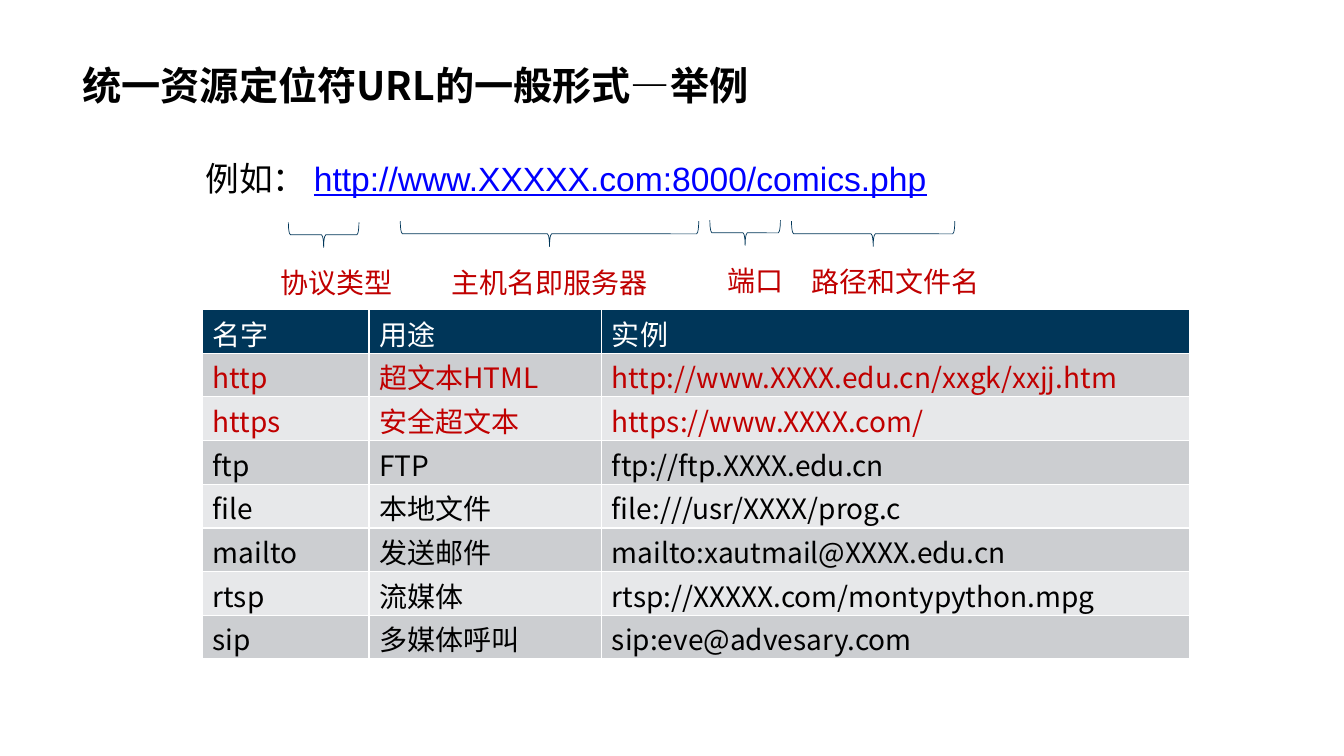
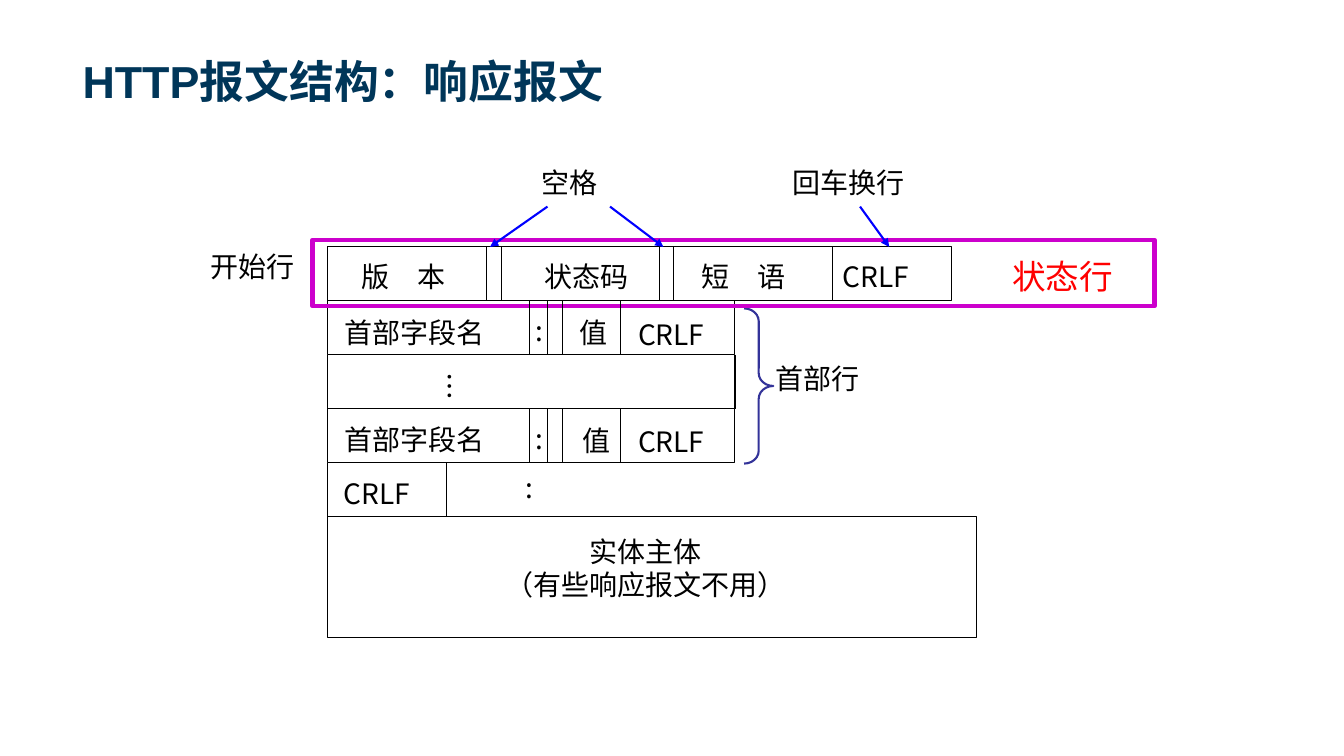
from lxml import etree
from pptx import Presentation
from pptx.dml.color import RGBColor
from pptx.enum.shapes import MSO_CONNECTOR, MSO_SHAPE
from pptx.enum.text import MSO_ANCHOR, PP_ALIGN
from pptx.oxml.ns import qn
from pptx.util import Inches, Pt

STRAIGHT = MSO_CONNECTOR.STRAIGHT
RECTANGLE = MSO_SHAPE.RECTANGLE
RIGHT_BRACE = MSO_SHAPE.RIGHT_BRACE
LEFT, CENTER = PP_ALIGN.LEFT, PP_ALIGN.CENTER
TOP, MIDDLE, BOTTOM = MSO_ANCHOR.TOP, MSO_ANCHOR.MIDDLE, MSO_ANCHOR.BOTTOM

NAVY = RGBColor(0x00, 0x36, 0x59)
BLACK = RGBColor(0x00, 0x00, 0x00)
WHITE = RGBColor(0xFF, 0xFF, 0xFF)
DARK_RED = RGBColor(0xC0, 0x00, 0x00)
RED = RGBColor(0xFF, 0x00, 0x00)
BLUE = RGBColor(0x00, 0x00, 0xFF)
INDIGO = RGBColor(0x33, 0x33, 0x99)
MAGENTA = RGBColor(0xCC, 0x00, 0xCC)
GRAY = RGBColor(0xCC, 0xCE, 0xD1)
LIGHT_GRAY = RGBColor(0xE7, 0xE8, 0xEA)

LATIN_FONT = "Arial"
CHINESE_FONT = "Noto Sans CJK SC"
TITLE_BOX = (0.72, 0.14, 11.88, 0.98)


def add_run(paragraph, text, size=20, color=BLACK, font=CHINESE_FONT, bold=False):
    run = paragraph.add_run()
    run.text = text
    run.font.size = Pt(size)
    run.font.bold = bold
    run.font.color.rgb = color
    run.font.name = font
    properties = run._r.get_or_add_rPr()
    etree.SubElement(properties, qn("a:ea")).set("typeface", CHINESE_FONT)
    return run


def add_text(slide, box, lines, align=LEFT, anchor=MIDDLE, **style):
    shape = slide.shapes.add_textbox(*map(Inches, box))
    frame = shape.text_frame
    frame.word_wrap = True
    frame.vertical_anchor = anchor
    for index, line in enumerate(lines):
        paragraph = frame.add_paragraph() if index else frame.paragraphs[0]
        paragraph.alignment = align
        add_run(paragraph, line, **style)
    return shape


presentation = Presentation()
presentation.slide_width = Inches(13.33)
presentation.slide_height = Inches(7.5)
blank_layout = presentation.slide_layouts[6]

slide = presentation.slides.add_slide(blank_layout)
add_text(slide, TITLE_BOX, ["统一资源定位符URL的一般形式—举例"],
         anchor=BOTTOM, size=28, bold=True)

example = add_text(slide, (1.94, 1.44, 11.3, 0.74), ["例如： "],
                   anchor=TOP, size=24, font=LATIN_FONT)
paragraph = example.text_frame.paragraphs[0]
paragraph.line_spacing = 1.2
address = add_run(paragraph, "http://www.XXXXX.com:8000/comics.php",
                  size=24, color=BLUE, font=LATIN_FONT)
address.font.underline = True

BRACE_DEPTH = 0.25
for center_x, center_y, length in [
    (3.21, 2.33, 0.7), (5.45, 2.32, 2.96), (7.39, 2.31, 0.7), (8.66, 2.32, 1.62),
]:
    brace = slide.shapes.add_shape(
        RIGHT_BRACE, Inches(center_x - BRACE_DEPTH / 2), Inches(center_y - length / 2),
        Inches(BRACE_DEPTH), Inches(length))
    brace.rotation = 90
    brace.shadow.inherit = False
    brace.fill.background()
    brace.line.color.rgb = NAVY
    brace.line.width = Pt(0.5)

for left, top, width, label in [
    (2.63, 2.58, 1.41, "协议类型"),
    (4.13, 2.58, 2.64, "主机名即服务器"),
    (6.79, 2.56, 1.41, "端口"),
    (7.65, 2.57, 2.46, "路径和文件名"),
]:
    add_text(slide, (left, top, width, 0.44), [label], CENTER, color=DARK_RED)

PROTOCOLS = [
    ("名字", "用途", "实例"),
    ("http", "超文本HTML", "http://www.XXXX.edu.cn/xxgk/xxjj.htm"),
    ("https", "安全超文本", "https://www.XXXX.com/"),
    ("ftp", "FTP", "ftp://ftp.XXXX.edu.cn"),
    ("file", "本地文件", "file:///usr/XXXX/prog.c"),
    ("mailto", "发送邮件", "mailto:xautmail@XXXX.edu.cn"),
    ("rtsp", "流媒体", "rtsp://XXXXX.com/montypython.mpg"),
    ("sip", "多媒体呼叫", "sip:eve@advesary.com"),
]
COLUMN_WIDTHS = (1.65, 2.31, 5.83)
TABLE_HEIGHT = 3.47
table = slide.shapes.add_table(
    len(PROTOCOLS), len(COLUMN_WIDTHS), Inches(2.01), Inches(3.07),
    Inches(sum(COLUMN_WIDTHS)), Inches(TABLE_HEIGHT)).table
for column, width in zip(table.columns, COLUMN_WIDTHS):
    column.width = Inches(width)
for row_index, values in enumerate(PROTOCOLS):
    table.rows[row_index].height = Inches(TABLE_HEIGHT / len(PROTOCOLS))
    if row_index == 0:
        fill_color, text_color = NAVY, WHITE
    else:
        fill_color = GRAY if row_index % 2 else LIGHT_GRAY
        text_color = DARK_RED if row_index < 3 else BLACK
    for column_index, value in enumerate(values):
        cell = table.cell(row_index, column_index)
        cell.fill.solid()
        cell.fill.fore_color.rgb = fill_color
        cell.margin_top = Inches(0.03)
        cell.margin_bottom = 0
        add_run(cell.text_frame.paragraphs[0], value, color=text_color)

slide = presentation.slides.add_slide(blank_layout)
add_text(slide, TITLE_BOX, ["HTTP报文结构：响应报文"],
         anchor=BOTTOM, size=32, color=NAVY, font=LATIN_FONT, bold=True)

MESSAGE_LEFT = 3.25
HEADER_RIGHT = 7.29
ROW_HEIGHT = 0.535
row_tops = [2.45 + ROW_HEIGHT * index for index in range(6)]

for kind, box, color, weight in [
    (RECTANGLE, (MESSAGE_LEFT, row_tops[0], 6.19, ROW_HEIGHT), BLACK, 0.75),
    (RECTANGLE, (MESSAGE_LEFT, row_tops[1], HEADER_RIGHT - MESSAGE_LEFT, ROW_HEIGHT), BLACK, 0.75),
    (RECTANGLE, (MESSAGE_LEFT, row_tops[3], HEADER_RIGHT - MESSAGE_LEFT, ROW_HEIGHT), BLACK, 0.75),
    (RECTANGLE, (MESSAGE_LEFT, row_tops[5], 6.44, 1.2), BLACK, 0.75),
    (RIGHT_BRACE, (7.38, 3.06, 0.29, 1.54), INDIGO, 1.5),
    (RECTANGLE, (3.1, 2.38, 8.35, 0.66), MAGENTA, 3),
]:
    outline = slide.shapes.add_shape(kind, *map(Inches, box))
    outline.shadow.inherit = False
    outline.fill.background()
    outline.line.color.rgb = color
    outline.line.width = Pt(weight)
    if kind == RIGHT_BRACE:
        outline.adjustments[0] = 0.44

FIELD_EDGES = (5.25, 5.43, 5.58, 6.15)
ROW_EDGES = [
    (4.83, 4.97, 6.54, 6.68, 8.26),
    FIELD_EDGES,
    (MESSAGE_LEFT, HEADER_RIGHT),
    FIELD_EDGES,
    (MESSAGE_LEFT, 4.43),
]
dividers = [(x, top, x, top + ROW_HEIGHT, BLACK, 0.75)
            for top, edges in zip(row_tops, ROW_EDGES) for x in edges]
arrows = [(start, 2.05, end, row_tops[0], BLUE, 1.5)
          for start, end in [(5.43, 4.86), (6.05, 6.58), (8.53, 8.82)]]
for *ends, color, weight in dividers + arrows:
    line = slide.shapes.add_connector(STRAIGHT, *map(Inches, ends))
    line.line.color.rgb = color
    line.line.width = Pt(weight)
    if color == BLUE:
        etree.SubElement(line.line._get_or_add_ln(), qn("a:tailEnd")).set("type", "triangle")
    etree.SubElement(line._element.spPr, qn("a:effectLst"))

for left, top, width, label in [
    (5.27, 1.59, 0.8, "空格"),
    (7.76, 1.59, 1.36, "回车换行"),
    (1.99, 2.42, 1.08, "开始行"),
    (3.49, 2.52, 1.15, "版　本"),
    (5.3, 2.52, 1.08, "状态码"),
    (6.86, 2.52, 1.15, "短　语"),
    (8.26, 2.52, 0.94, "CRLF"),
    (3.32, 3.08, 1.64, "首部字段名"),
    (5.21, 3.06, 0.33, ":"),
    (5.65, 3.08, 0.53, "值"),
    (6.23, 3.1, 0.94, "CRLF"),
    (7.59, 3.53, 1.08, "首部行"),
    (3.32, 4.14, 1.64, "首部字段名"),
    (5.21, 4.13, 0.33, ":"),
    (5.68, 4.15, 0.53, "值"),
    (6.23, 4.16, 0.94, "CRLF"),
    (3.31, 4.67, 0.94, "CRLF"),
    (5.11, 4.61, 0.33, ":"),
]:
    add_text(slide, (left, top, width, 0.44), [label])

ellipsis = add_text(slide, (4.17, 3.57, 0.57, 0.44), ["…"])
ellipsis.rotation = 270
add_text(slide, (9.94, 2.48, 1.42, 0.51), ["状态行"], size=24, color=RED)
add_text(slide, (4.89, 5.25, 3.02, 0.77), ["实体主体", "（有些响应报文不用）"], CENTER)

presentation.save("out.pptx")
